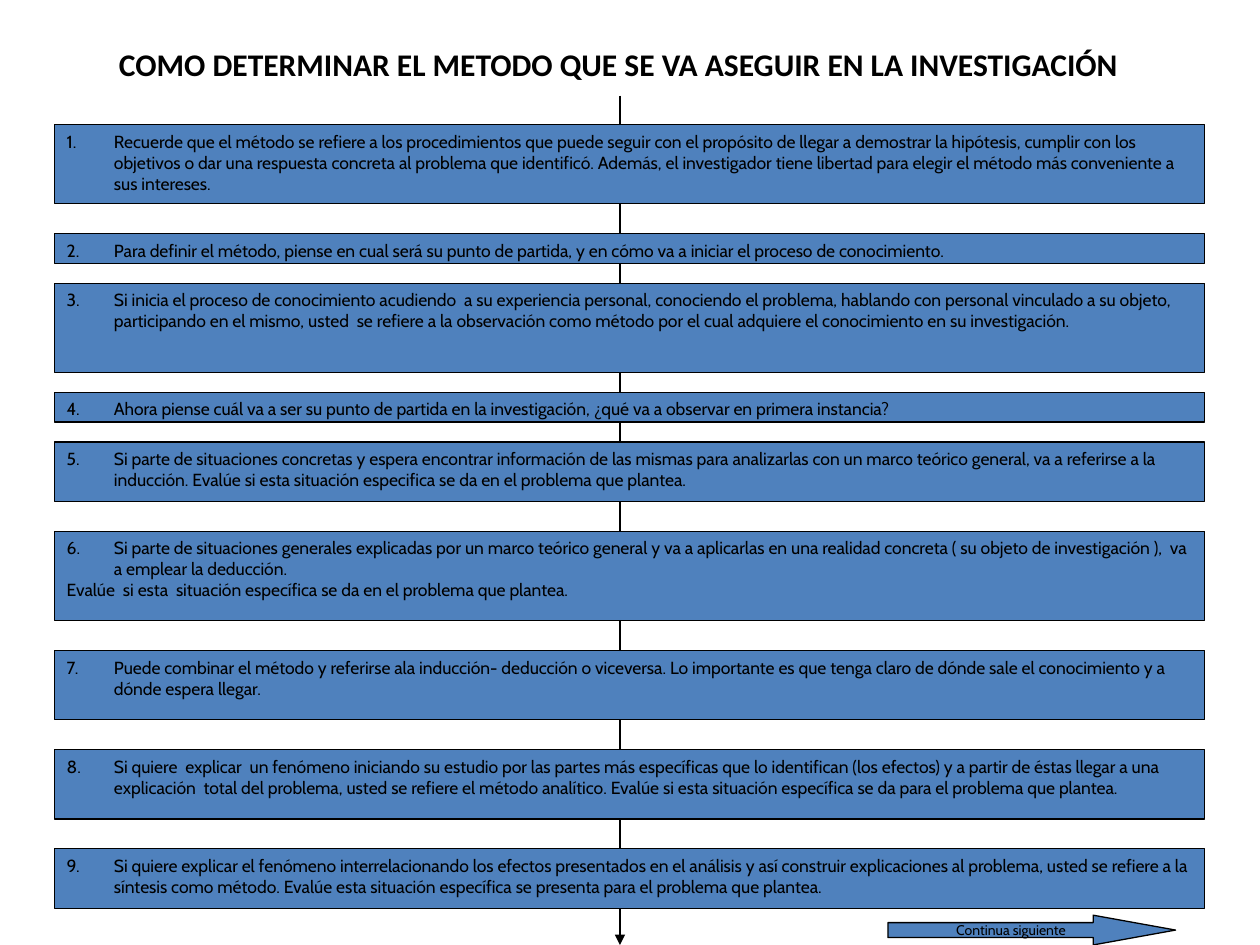
"""Builds a slide with nine numbered steps for choosing a research method."""
from dataclasses import dataclass

from lxml.etree import SubElement
from pptx import Presentation
from pptx.dml.color import RGBColor
from pptx.enum.shapes import MSO_CONNECTOR as Connector, MSO_SHAPE as Shape
from pptx.enum.text import MSO_ANCHOR as Anchor, MSO_AUTO_SIZE as AutoSize, PP_ALIGN as Align
from pptx.oxml.ns import qn
from pptx.util import Pt

TITLE = "COMO DETERMINAR EL METODO QUE SE VA ASEGUIR EN LA INVESTIGACIÓN"
NEXT = "Continua siguiente"

# (height in grid units, gap below in grid units, paragraphs)
STEPS = [
    (8, 3, ["Recuerde que el método se refiere a los procedimientos que puede seguir con el propósito de llegar a "
            "demostrar la hipótesis, cumplir con los objetivos o dar una respuesta concreta al problema que "
            "identificó. Además, el investigador tiene libertad para elegir el método más conveniente a sus "
            "intereses."]),
    (3, 2, ["Para definir el método, piense en cual será su punto de partida, y en cómo va a iniciar el proceso de "
            "conocimiento."]),
    (9, 2, ["Si inicia el proceso de conocimiento acudiendo  a su experiencia personal, conociendo el problema, "
            "hablando con personal vinculado a su objeto, participando en el mismo, usted  se refiere a la "
            "observación como método por el cual adquiere el conocimiento en su investigación."]),
    (3, 2, ["Ahora piense cuál va a ser su punto de partida en la investigación, ¿qué va a observar en primera "
            "instancia?"]),
    (6, 3, ["Si parte de situaciones concretas y espera encontrar información de las mismas para analizarlas con un "
            "marco teórico general, va a referirse a la inducción. Evalúe si esta situación especifica se da en el "
            "problema que plantea."]),
    (9, 3, ["Si parte de situaciones generales explicadas por un marco teórico general y va a aplicarlas en una "
            "realidad concreta ( su objeto de investigación ),  va a emplear la deducción.",
            "Evalúe  si esta  situación específica se da en el problema que plantea."]),
    (7, 3, ["Puede combinar el método y referirse ala inducción- deducción o viceversa. Lo importante es que tenga "
            "claro de dónde sale el conocimiento y a dónde espera llegar."]),
    (7, 3, ["Si quiere  explicar  un fenómeno iniciando su estudio por las partes más específicas que lo identifican "
            "(los efectos) y a partir de éstas llegar a una  explicación  total del problema, usted se refiere el "
            "método analítico. Evalúe si esta situación específica se da para el problema que plantea."]),
    (6, 3, ["Si quiere explicar el fenómeno interrelacionando los efectos presentados en el análisis y así construir "
            "explicaciones al problema, usted se refiere a la síntesis como método. Evalúe esta situación específica "
            "se presenta para el problema que plantea."]),
]


@dataclass(frozen=True)
class Theme:
    ink: RGBColor = RGBColor(0, 0, 0)
    fill: RGBColor = RGBColor(0x4F, 0x81, 0xBD)
    title_font: str = "Calibri"
    body_font: str = "Cabin"
    title_size: float = 18
    step_size: float = 10
    next_size: float = 8
    stroke: float = 0.75


THEME = Theme()
SLIDE_W, SLIDE_H = 720, 540
UNIT = 5.67
STEP_LEFT, STEP_TOP, STEP_W = 31, 71.1, 657.5
FLOW_X, FLOW_TOP = 354.3, 54.7
HANGING = 27


def write(paragraph, words, size, font=THEME.body_font, bold=False, align=Align.LEFT):
    paragraph.alignment = align
    run = paragraph.add_run()
    run.text = words
    run.font.name, run.font.size, run.font.bold = font, Pt(size), bold
    run.font.color.rgb = THEME.ink


def number(paragraph, start):
    props = paragraph._p.get_or_add_pPr()
    colour = SubElement(props, qn("a:buClr"))
    SubElement(colour, qn("a:srgbClr"), val=str(THEME.ink))
    SubElement(props, qn("a:buAutoNum"), type="arabicPeriod", startAt=str(start))


def block(slide, kind, left, top, width, height, anchor):
    shape = slide.shapes.add_shape(kind, Pt(left), Pt(top), Pt(width), Pt(height))
    shape.shadow.inherit = False
    shape.fill.solid()
    shape.fill.fore_color.rgb = THEME.fill
    shape.line.color.rgb = THEME.ink
    shape.line.width = Pt(THEME.stroke)
    shape.text_frame.vertical_anchor = anchor
    shape.text_frame.word_wrap = True
    return shape


def add_title(slide):
    title = slide.shapes.title
    title.left, title.top, title.width, title.height = Pt(11.5), Pt(22.3), Pt(684), Pt(23)
    frame = title.text_frame
    frame.auto_size, frame.vertical_anchor, frame.word_wrap = AutoSize.NONE, Anchor.TOP, True
    write(frame.paragraphs[0], TITLE, THEME.title_size, THEME.title_font, True, Align.CENTER)


def add_flow(slide):
    flow = slide.shapes.add_connector(Connector.STRAIGHT, Pt(FLOW_X), Pt(FLOW_TOP), Pt(FLOW_X), Pt(SLIDE_H))
    flow.line.color.rgb = THEME.ink
    flow.line.width = Pt(THEME.stroke)
    SubElement(flow.line._get_or_add_ln(), qn("a:tailEnd"), type="triangle")
    SubElement(flow._element.spPr, qn("a:effectLst"))


def add_steps(slide):
    top = STEP_TOP
    for position, (units, gap, texts) in enumerate(STEPS, 1):
        step = block(slide, Shape.RECTANGLE, STEP_LEFT, top, STEP_W, units * UNIT, Anchor.TOP)
        frame = step.text_frame
        for index, words in enumerate(texts):
            paragraph = frame.add_paragraph() if index else frame.paragraphs[0]
            write(paragraph, words, THEME.step_size)
            props = paragraph._p.get_or_add_pPr()
            props.set("marL", str(Pt(HANGING)))
            props.set("indent", str(-Pt(HANGING)))
            if not index:
                number(paragraph, position)
        top += (units + gap) * UNIT


def add_next(slide):
    arrow = block(slide, Shape.RIGHT_ARROW, 507.4, 523, 164.4, 17, Anchor.MIDDLE)
    arrow.adjustments[0], arrow.adjustments[1] = 0.5, 2.77
    arrow.text_frame.word_wrap = False
    write(arrow.text_frame.paragraphs[0], NEXT, THEME.next_size, align=Align.CENTER)


def main():
    deck = Presentation()
    deck.slide_width, deck.slide_height = Pt(SLIDE_W), Pt(SLIDE_H)
    slide = deck.slides.add_slide(deck.slide_layouts.get_by_name("Title Only"))
    add_flow(slide)
    add_title(slide)
    add_steps(slide)
    add_next(slide)
    deck.save("out.pptx")


if __name__ == "__main__":
    main()
